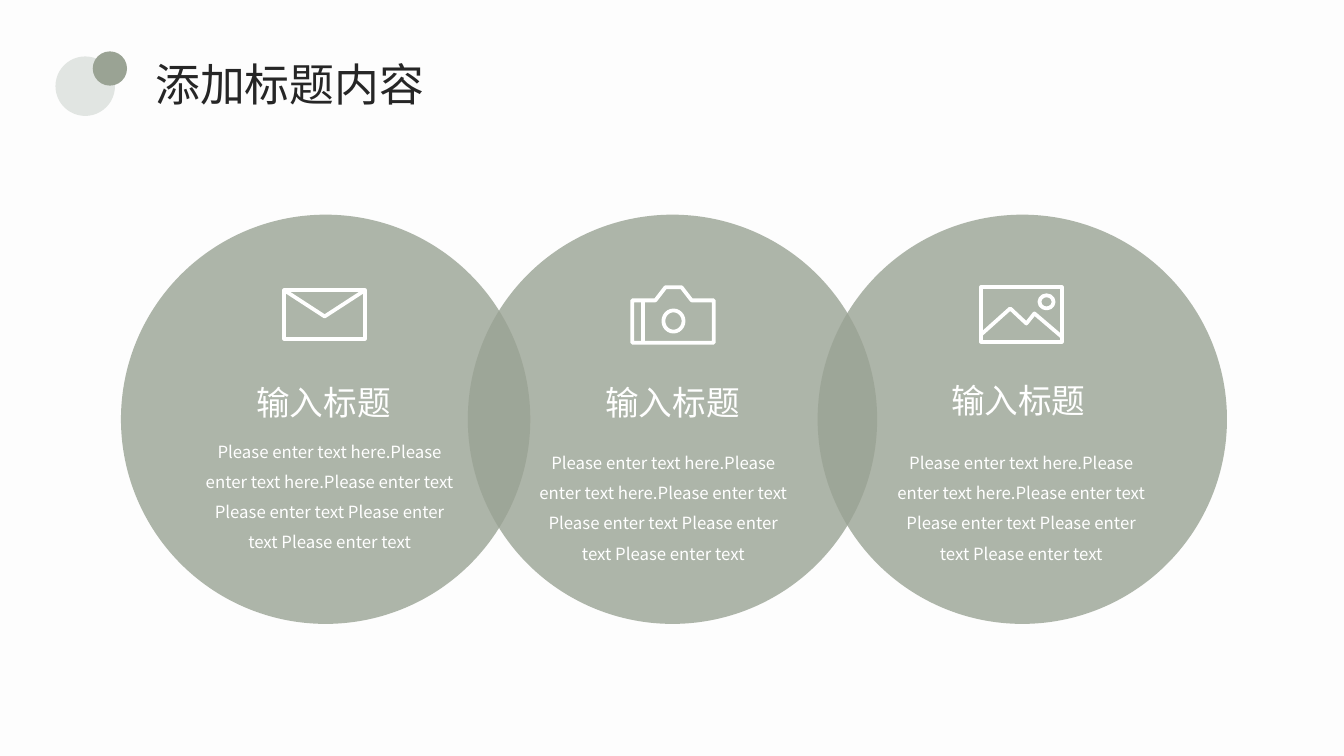
from lxml import etree
from pptx import Presentation
from pptx.dml.color import RGBColor
from pptx.enum import shapes, text
from pptx.oxml import ns
from pptx.util import Inches, Pt

FONT = "Noto Sans CJK SC"
SAGE, PALE, WHITE, DARK = "9AA394", "E1E5E2", "FFFFFF", "262626"
BODY = ("Please enter text here.Please enter text here."
        "Please enter text Please enter text Please enter text Please enter text")


def color(target, value):
    target.rgb = RGBColor.from_string(value)


def write(shape, words, size, value, align, spacing=None):
    frame = shape.text_frame
    frame.text = words
    frame.vertical_anchor = text.MSO_ANCHOR.TOP
    paragraph = frame.paragraphs[0]
    paragraph.alignment = align
    paragraph.line_spacing = spacing
    paragraph.font.size = Pt(size)
    paragraph.font.name = FONT
    color(paragraph.font.color, value)
    # East Asian typeface for the Chinese characters
    defaults = paragraph.font._element
    etree.SubElement(defaults, ns.qn("a:ea")).set("typeface", FONT)


presentation = Presentation()
presentation.slide_width = Inches(13.33)
presentation.slide_height = Inches(7.5)
slide = presentation.slides.add_slide(presentation.slide_layouts[5])
slide.background.fill.solid()
color(slide.background.fill.fore_color, "FDFDFD")

# Title
title = slide.shapes.title
title.left, title.top, title.width, title.height = map(Inches, (1.44, 0.51, 2.89, 0.64))
write(title, "添加标题内容", 32, DARK, text.PP_ALIGN.LEFT)
title.text_frame.word_wrap = False
title.text_frame.auto_size = text.MSO_AUTO_SIZE.NONE

# Title ornament and the three overlapping circles: left, top, size, fill, opacity
circles = [
    (0.55, 0.56, 0.59, PALE, 100),
    (0.92, 0.51, 0.34, SAGE, 100),
    (1.2, 2.13, 4.06, SAGE, 80),
    (4.64, 2.13, 4.06, SAGE, 80),
    (8.11, 2.13, 4.06, SAGE, 80),
]
for left, top, size, fill, opacity in circles:
    circle = slide.shapes.add_shape(
        shapes.MSO_SHAPE.OVAL, Inches(left), Inches(top), Inches(size), Inches(size))
    circle.shadow.inherit = False
    circle.fill.solid()
    color(circle.fill.fore_color, fill)
    circle.line.fill.background()
    if opacity < 100:
        solid = circle.fill._xPr.find(ns.qn("a:solidFill"))
        etree.SubElement(solid[0], ns.qn("a:alpha")).set("val", str(opacity * 1000))

# Icon outlines: points, closed
outlines = [
    # Envelope and flap
    ([(2.82, 2.88), (3.62, 2.88), (3.62, 3.36), (2.82, 3.36)], True),
    ([(2.82, 2.88), (3.22, 3.14), (3.62, 2.88)], False),
    # Camera body
    ([(6.86, 2.98), (6.76, 2.85), (6.6, 2.85), (6.5, 2.98), (6.27, 2.98),
      (6.27, 3.4), (7.08, 3.4), (7.08, 2.98)], True),
    # Landscape frame and mountains
    ([(9.73, 2.85), (10.53, 2.85), (10.53, 3.39), (9.73, 3.39)], True),
    ([(9.73, 3.32), (10.02, 3.06), (10.18, 3.21), (10.26, 3.11), (10.53, 3.34)], False),
]
icon_parts = []
for points, closed in outlines:
    (x, y), *rest = [(Inches(a), Inches(b)) for a, b in points]
    builder = slide.shapes.build_freeform(x, y)
    builder.add_line_segments(rest, close=closed)
    icon_parts.append(builder.convert_to_shape())

# Camera lens and sun
for box in [(6.58, 3.08, 0.2, 0.21), (10.31, 2.93, 0.14, 0.13)]:
    icon_parts.append(slide.shapes.add_shape(shapes.MSO_SHAPE.OVAL, *map(Inches, box)))

for part in icon_parts:
    part.shadow.inherit = False
    part.fill.background()

# Camera side strip
strip = slide.shapes.add_connector(
    shapes.MSO_CONNECTOR.STRAIGHT, Inches(6.38), Inches(2.98), Inches(6.38), Inches(3.4))
icon_parts.append(strip)

for part in icon_parts:
    part.line.width = Pt(2.7)
    color(part.line.color, WHITE)
    properties = part.line._get_or_add_ln()
    etree.SubElement(properties, ns.qn("a:round"))
etree.SubElement(strip._element.spPr, ns.qn("a:effectLst"))

# Headings and body texts: left, top, height, words, size, line spacing
labels = [
    (1.86, 3.74, 0.5, "输入标题", 24, None),
    (5.32, 3.74, 0.5, "输入标题", 24, None),
    (8.75, 3.72, 0.5, "输入标题", 24, None),
    (1.92, 4.23, 1.28, BODY, 12, 1.5),
    (5.23, 4.34, 1.28, BODY, 12, 1.5),
    (8.78, 4.34, 1.28, BODY, 12, 1.5),
]
for left, top, height, words, size, spacing in labels:
    label = slide.shapes.add_textbox(Inches(left), Inches(top), Inches(2.7), Inches(height))
    write(label, words, size, WHITE, text.PP_ALIGN.CENTER, spacing)
    label.text_frame.word_wrap = True

presentation.save("out.pptx")
